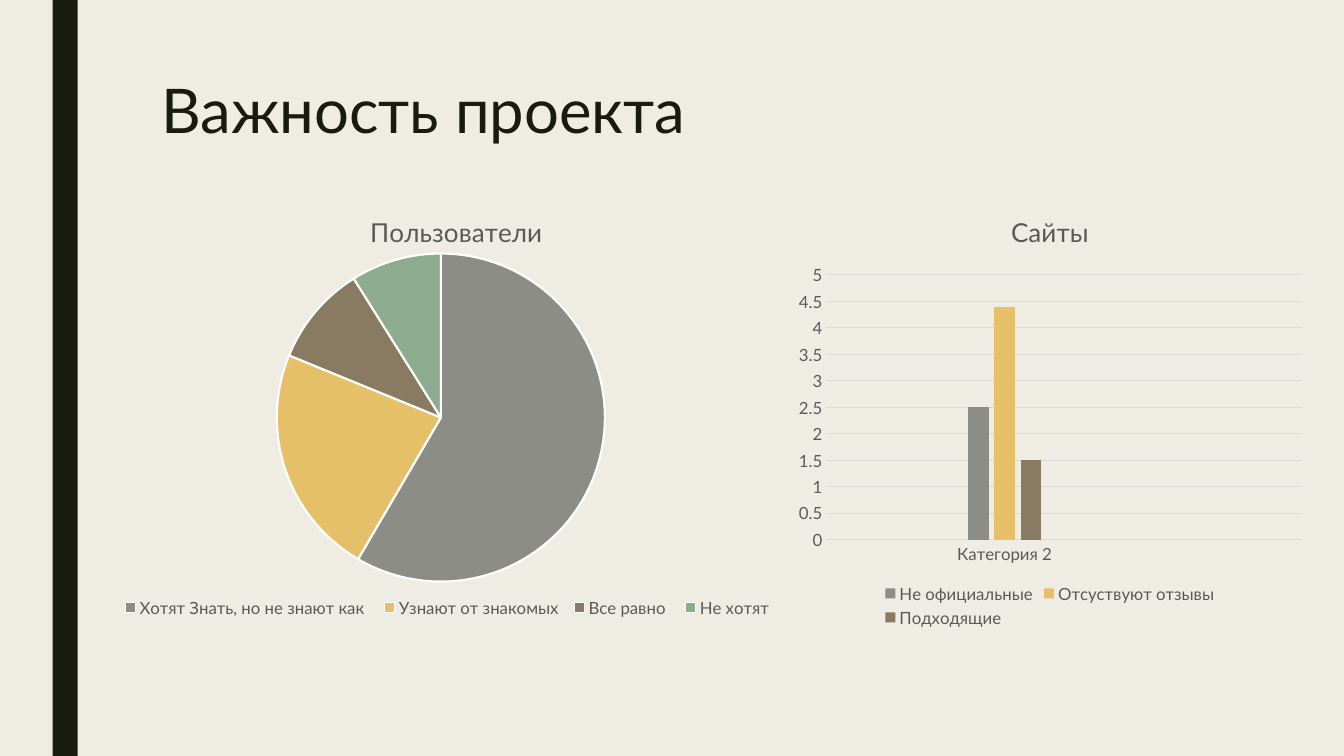
from lxml import etree
from pptx import Presentation
from pptx.chart.data import CategoryChartData
from pptx.dml.color import RGBColor
from pptx.enum import chart as ch, shapes, text
from pptx.oxml import ns
from pptx.util import Pt

# Content
TITLE = "Важность проекта"
USERS = {
    "title": "Пользователи",
    "categories": ["Хотят Знать, но не знают как ", "Узнают от знакомых",
                   "Все равно ", "Не хотят "],
    "series": [("Пользователи", [59, 23, 10, 9])],
    "box": (80, 139, 492, 312),
    "plot": (0.239, 0.135, 0.477, 0.751),
    "legend": (0.005, 0.915, 0.97, 0.06),
}
SITES = {
    "title": "Сайты",
    "categories": ["", "Категория 2", "", ""],
    "series": [("Не официальные", [None, 2.5, None, None]),
               ("Отсуствуют отзывы", [None, 4.4, None, None]),
               ("Подходящие", [None, 1.5, None, None])],
    "box": (563, 139, 374, 312),
    "plot": (0.073, 0.184, 0.908, 0.606),
}
COLORS = {"bg": "EFEDE3", "dark": "191B0E", "label": "595959",
          "grid": "D9D9D9", "white": "FFFFFF"}
PALETTE = ["8C8D86", "E6C069", "897B61", "8DAB8E"]
FONT = "Lato"


def rgb(value):
    return RGBColor.from_string(value)


def style(font, size, color):
    font.name, font.size, font.bold = FONT, Pt(size), False
    font.color.rgb = rgb(color)


def paint(fmt, color):
    fmt.fill.solid()
    fmt.fill.fore_color.rgb = rgb(color)


def place(parent, index, fractions, inner=False):
    """Fix a chart part at fractions of the chart's size."""
    for old in parent.findall(ns.qn("c:layout")):
        parent.remove(old)
    layout = etree.Element(ns.qn("c:layout"))
    manual = etree.SubElement(layout, ns.qn("c:manualLayout"))
    settings = [("layoutTarget", "inner")] if inner else []
    settings += [("xMode", "edge"), ("yMode", "edge"), *zip("xywh", fractions)]
    for tag, value in settings:
        etree.SubElement(manual, ns.qn("c:" + tag)).set("val", str(value))
    parent.insert(index, layout)


def add_chart(s, kind, spec):
    data = CategoryChartData()
    data.categories = spec["categories"]
    for name, values in spec["series"]:
        data.add_series(name, values)
    box = [Pt(v) for v in spec["box"]]
    chart = s.shapes.add_chart(kind, *box, data).chart
    style(chart.font, 12, COLORS["label"])
    chart.has_title = True
    tf = chart.chart_title.text_frame
    tf.text = spec["title"]
    style(tf.paragraphs[0].runs[0].font, 18.6, COLORS["label"])
    chart.chart_title.include_in_layout = False
    chart.has_legend = True
    legend = chart.legend
    legend.position = ch.XL_LEGEND_POSITION.BOTTOM
    legend.include_in_layout = False
    style(legend.font, 12, COLORS["label"])
    place(chart.plots[0]._element.getparent(), 0, spec["plot"], inner=True)
    if "legend" in spec:
        place(legend._element, 1, spec["legend"])
    return chart


prs = Presentation()
prs.slide_width, prs.slide_height = Pt(960), Pt(540)
s = prs.slides.add_slide(prs.slide_layouts[5])
paint(s.background, COLORS["bg"])

# Side stripe
stripe = s.shapes.add_shape(shapes.MSO_SHAPE.RECTANGLE,
                            Pt(37.5), 0, Pt(18), prs.slide_height)
stripe.shadow.inherit = False
paint(stripe, COLORS["dark"])
stripe.line.fill.background()

# Title
title = s.shapes.title
title.left, title.top, title.width, title.height = Pt(108), Pt(54), Pt(756), Pt(117)
tf = title.text_frame
tf.text = TITLE
tf.vertical_anchor = text.MSO_ANCHOR.TOP
p = tf.paragraphs[0]
p.alignment, p.line_spacing = text.PP_ALIGN.LEFT, 0.89
style(p.runs[0].font, 44, COLORS["dark"])

# Users pie
pie = add_chart(s, ch.XL_CHART_TYPE.PIE, USERS)
pie.plots[0].vary_by_categories = True
for i, color in enumerate(PALETTE):
    fmt = pie.plots[0].series[0].points[i].format
    paint(fmt, color)
    fmt.line.color.rgb = rgb(COLORS["white"])
    fmt.line.width = Pt(1.5)

# Sites columns
columns = add_chart(s, ch.XL_CHART_TYPE.COLUMN_CLUSTERED, SITES)
plot = columns.plots[0]
plot.vary_by_categories = False
plot.gap_width, plot.overlap = 219, -27
for series, color in zip(plot.series, PALETTE):
    paint(series.format, color)

for axis in (columns.category_axis, columns.value_axis):
    axis.major_tick_mark = axis.minor_tick_mark = ch.XL_TICK_MARK.NONE
    style(axis.tick_labels.font, 12, COLORS["label"])
values = columns.value_axis
values.minimum_scale, values.maximum_scale, values.major_unit = 0, 5, 0.5
values.format.line.fill.background()
values.has_major_gridlines = True
for line in (columns.category_axis.format.line, values.major_gridlines.format.line):
    line.color.rgb = rgb(COLORS["grid"])
    line.width = Pt(0.75)

prs.save("out.pptx")
